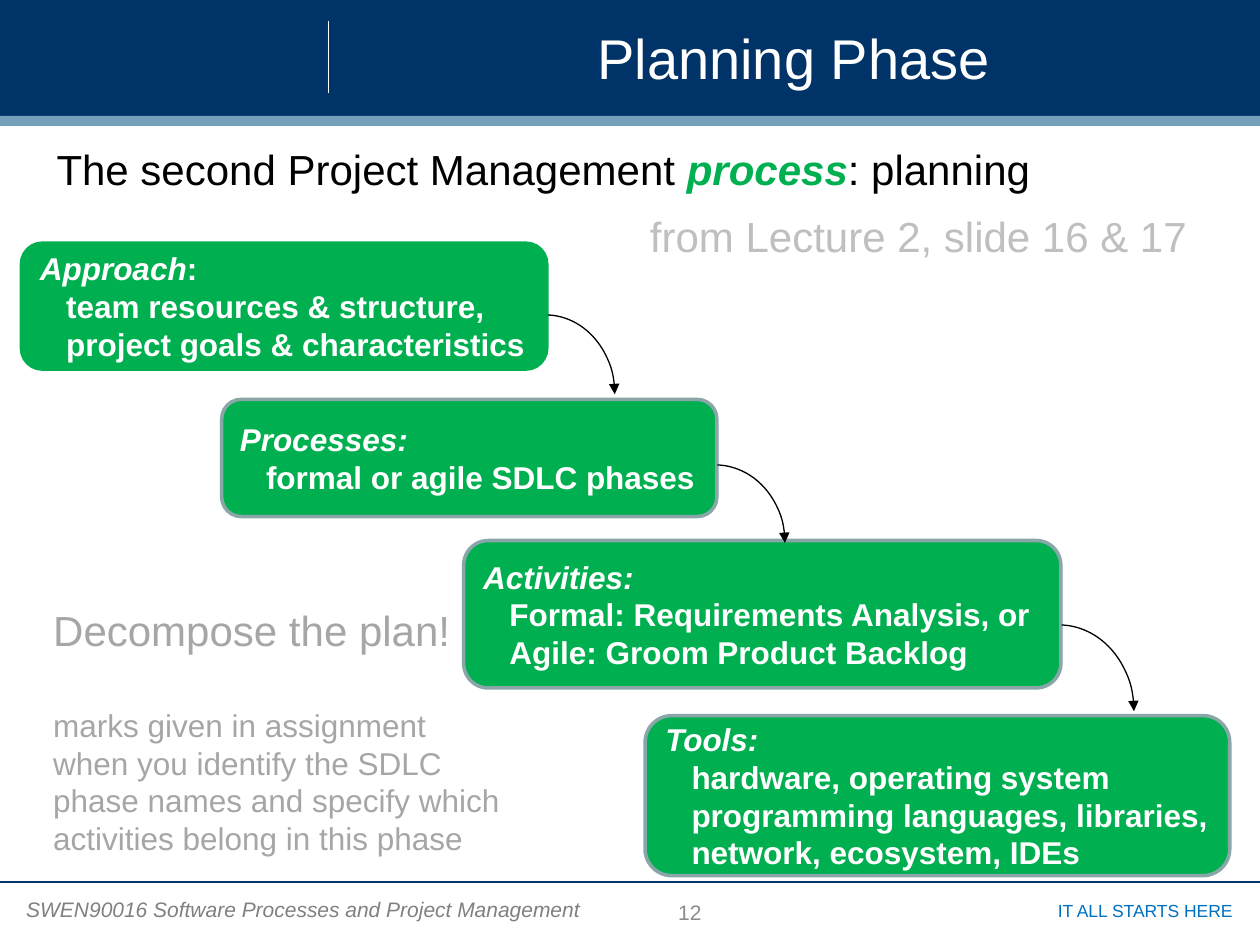
from pptx import Presentation
from pptx import util as u
from pptx.dml import color
from pptx.enum import shapes, text
from pptx.oxml import ns
from lxml import etree

COLUMNS, ROWS = 100, 75
LEFT, CENTER, RIGHT = text.PP_ALIGN.LEFT, text.PP_ALIGN.CENTER, text.PP_ALIGN.RIGHT
TOP, MIDDLE = text.MSO_ANCHOR.TOP, text.MSO_ANCHOR.MIDDLE
NAVY, STEEL, GREEN, EDGE, WHITE, BLACK = "003368", "759FB8", "00B050", "8AA6A8", "FFFFFF", "000000"


def rgb(value):
    return color.RGBColor.from_string(value)


def write(paragraph, content, size=18, fill=BLACK, bold=False, italic=False,
          align=LEFT, before=0, indent=0):
    paragraph.alignment = align
    if before:
        paragraph.space_before = u.Pt(before)
    if indent:
        paragraph._p.get_or_add_pPr().set("marL", str(u.Pt(indent)))
    run = paragraph.add_run()
    run.text = content
    font = run.font
    font.name, font.size, font.bold, font.italic = "Arial", u.Pt(size), bold, italic
    font.color.rgb = rgb(fill)


class Deck:
    def __init__(self):
        self.show = Presentation()
        self.show.slide_width, self.show.slide_height = u.Inches(10), u.Inches(7.5)
        self.slide = self.show.slides.add_slide(self.show.slide_layouts[5])
        self.items = self.slide.shapes

    def col(self, n):
        return int(self.show.slide_width * n / COLUMNS)

    def row(self, n):
        return int(self.show.slide_height * n / ROWS)

    def area(self, x, y, w, h):
        return self.col(x), self.row(y), self.col(w), self.row(h)

    def outline(self, line, value, width):
        line.color.rgb = rgb(value)
        line.width = u.Pt(width)

    def bar(self, place, fill):
        band = self.items.add_shape(shapes.MSO_SHAPE.RECTANGLE, *self.area(*place))
        band.shadow.inherit = False
        band.fill.solid()
        band.fill.fore_color.rgb = rgb(fill)
        band.line.fill.background()

    def rule(self, start, end, value):
        divider = self.items.add_connector(
            shapes.MSO_CONNECTOR.STRAIGHT,
            self.col(start[0]), self.row(start[1]), self.col(end[0]), self.row(end[1]))
        self.outline(divider.line, value, 0.75)
        etree.SubElement(divider._element.spPr, ns.qn("a:effectLst"))

    def title(self, place, content):
        heading = self.items.title
        heading.left, heading.top, heading.width, heading.height = self.area(*place)
        heading.text_frame.vertical_anchor = MIDDLE
        write(heading.text_frame.paragraphs[0], content, size=32, fill=WHITE, align=CENTER)
        self.items._spTree.append(heading._element)

    def label(self, place, anchor=TOP, wrap=True):
        frame = self.items.add_textbox(*self.area(*place)).text_frame
        frame.word_wrap = wrap
        frame.vertical_anchor = anchor
        return frame

    def step(self, place, name, colon_italic, details, edge):
        box = self.items.add_shape(shapes.MSO_SHAPE.ROUNDED_RECTANGLE, *self.area(*place))
        box.shadow.inherit = False
        box.fill.solid()
        box.fill.fore_color.rgb = rgb(GREEN)
        self.outline(box.line, edge, 2)
        frame = box.text_frame
        frame.word_wrap = True
        frame.vertical_anchor = MIDDLE
        head = frame.paragraphs[0]
        write(head, name, fill=WHITE, bold=True, italic=True)
        write(head, ":", fill=WHITE, bold=True, italic=colon_italic)
        for detail in details:
            write(frame.add_paragraph(), detail, fill=WHITE, bold=True, indent=15)

    def curve(self, place):
        arc = self.items.add_shape(shapes.MSO_SHAPE.ARC, *self.area(*place))
        arc.shadow.inherit = False
        arc.adjustments[0] = 163.05
        arc.fill.background()
        self.outline(arc.line, BLACK, 0.75)
        etree.SubElement(arc.line._get_or_add_ln(), ns.qn("a:tailEnd"), type="triangle")


STEPS = [
    ((1.7, 19.3, 41.7, 10), "Approach", False,
     ["team resources & structure,", "project goals & characteristics"], GREEN),
    ((17.6, 31.7, 39.3, 9.3), "Processes", True, ["formal or agile SDLC phases"], EDGE),
    ((36.8, 42.9, 47.4, 11.7), "Activities", True,
     ["Formal: Requirements Analysis, or", "Agile: Groom Product Backlog"], EDGE),
    ((51.2, 56.8, 46.4, 12.7), "Tools", True,
     ["hardware, operating system", "programming languages, libraries,",
      "network, ecosystem, IDEs"], EDGE),
]
HANDOVERS = [(37.8, 25, 11, 12.6), (51.2, 36.9, 11.1, 12.4), (78.1, 49.6, 11.9, 13.7)]


def main():
    deck = Deck()
    deck.bar((0, 0, 100, 9.2), NAVY)
    deck.rule((26.1, 1.7), (26.1, 7.4), WHITE)
    deck.rule((0, 70), (100, 70), NAVY)
    deck.bar((0, 9.2, 100, 0.8), STEEL)

    course = deck.label((1.1, 70.7, 46.3, 3), wrap=False)
    write(course.paragraphs[0], "SWEN90016 Software Processes and Project Management",
          size=12, fill="808080", italic=True)
    motto = deck.label((78.2, 70.9, 20.6, 2.7))
    write(motto.paragraphs[0], "IT ALL STARTS HERE", size=10, fill="0070C0", align=RIGHT)
    number = deck.label((39.7, 70.7, 30.1, 3.4), anchor=MIDDLE)
    write(number.paragraphs[0], "12", size=12, fill="8C8C8C", align=CENTER)

    advice = deck.label((2.4, 47.5, 38.8, 22.4))
    write(advice.paragraphs[0], "Decompose the plan!", size=24, fill="A6A6A6", indent=6)
    write(advice.add_paragraph(),
          "marks given in assignment when you identify the SDLC phase names "
          "and specify which activities belong in this phase",
          fill="A6A6A6", before=29, indent=6)

    for step in STEPS:
        deck.step(*step)
    deck.title((26.9, 0.8, 72.2, 7.5), "Planning Phase")

    origin = deck.label((50.6, 16.2, 47.9, 5.2))
    write(origin.paragraphs[0], "from Lecture 2, slide 16 & 17", size=24, fill="BFBFBF")
    intro = deck.label((3.5, 10.9, 97.8, 7.6)).paragraphs[0]
    write(intro, "The second Project Management ", size=24)
    write(intro, "process", size=24, fill=GREEN, bold=True, italic=True)
    write(intro, ": planning", size=24)

    for handover in HANDOVERS:
        deck.curve(handover)
    deck.show.save("out.pptx")


if __name__ == "__main__":
    main()
